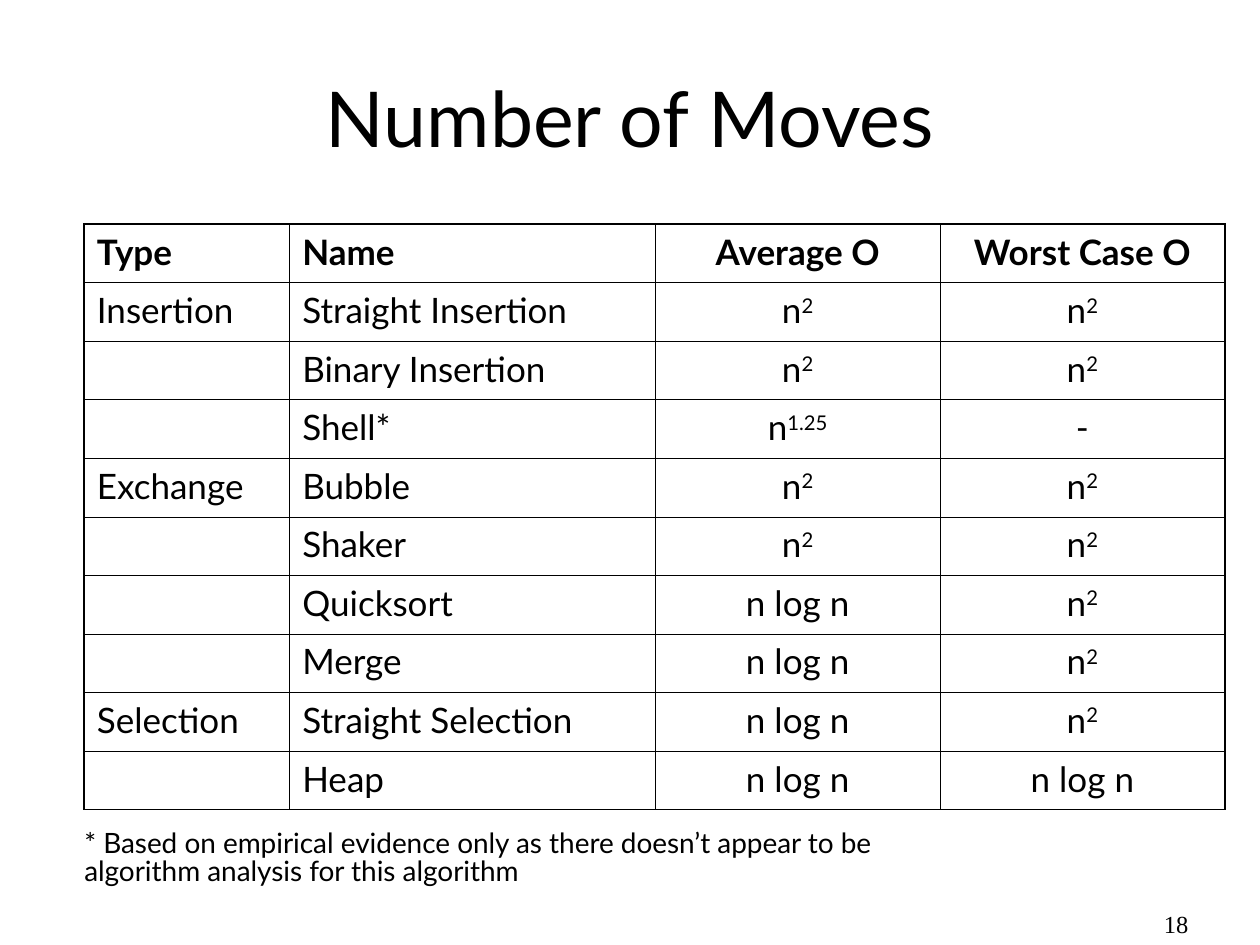
from dataclasses import dataclass

from lxml import etree
from pptx import Presentation
from pptx.dml.color import RGBColor
from pptx.enum.text import MSO_ANCHOR, PP_ALIGN
from pptx.oxml.ns import qn
from pptx.util import Cm, Pt

LEFT, CENTER = PP_ALIGN.LEFT, PP_ALIGN.CENTER
TOP, MIDDLE = MSO_ANCHOR.TOP, MSO_ANCHOR.MIDDLE


@dataclass(frozen=True)
class Theme:
    ink: str = "000000"
    body_font: str = "Lato"
    number_font: str = "Times New Roman"
    title_size: float = 44
    table_size: float = 20
    note_size: float = 16
    number_size: float = 14
    outer_line: float = 1.08
    inner_line: float = 0.45


THEME = Theme()
BLANK_LAYOUT = 6
SUPERSCRIPT = "30000"
COLUMN_WIDTHS = (4.14, 7.37, 5.74, 5.74)
COLUMN_ALIGNS = (LEFT, LEFT, CENTER, CENTER)
MOVES = (
    ("Type", "Name", "Average O", "Worst Case O"),
    ("Insertion", "Straight Insertion", "n^2", "n^2"),
    ("", "Binary Insertion", "n^2", "n^2"),
    ("", "Shell*", "n^1.25", "-"),
    ("Exchange", "Bubble", "n^2", "n^2"),
    ("", "Shaker", "n^2", "n^2"),
    ("", "Quicksort", "n log n", "n^2"),
    ("", "Merge", "n log n", "n^2"),
    ("Selection", "Straight Selection", "n log n", "n^2"),
    ("", "Heap", "n log n", "n log n"),
)


def apply_format(target, values):
    for name, value in values.items():
        setattr(target, name, value)


def add_span(para, text, size, font=THEME.body_font, bold=False):
    span = para.add_run()
    span.text = text
    apply_format(span.font, {"size": Pt(size), "name": font, "bold": bold})
    span.font.color.rgb = RGBColor.from_string(THEME.ink)
    return span


def add_text(page, box, text, size, font=THEME.body_font, align=LEFT,
             anchor=TOP, spacing=1.0, inset=(0.25, 0.13)):
    frame = page.shapes.add_textbox(*map(Cm, box)).text_frame
    side, edge = map(Cm, inset)
    apply_format(frame, {
        "word_wrap": True, "vertical_anchor": anchor,
        "margin_left": side, "margin_right": side,
        "margin_top": edge, "margin_bottom": edge,
    })
    para = frame.paragraphs[0]
    apply_format(para, {"alignment": align, "line_spacing": spacing})
    add_span(para, text, size, font)


def set_borders(cell, outer_sides):
    properties = cell._tc.get_or_add_tcPr()
    for index, (side, is_outer) in enumerate(outer_sides.items()):
        width = THEME.outer_line if is_outer else THEME.inner_line
        line = etree.Element(qn(f"a:ln{side}"), w=str(Pt(width)))
        fill = etree.SubElement(line, qn("a:solidFill"))
        etree.SubElement(fill, qn("a:srgbClr"), val=THEME.ink)
        properties.insert(index, line)


def fill_cell(cell, text, align, bold):
    cell.fill.background()
    cell.vertical_anchor = TOP
    para = cell.text_frame.paragraphs[0]
    para.alignment = align
    base, _, power = text.partition("^")
    if base:
        add_span(para, base, THEME.table_size, bold=bold)
    if power:
        span = add_span(para, power, THEME.table_size, bold=bold)
        span.font._element.set("baseline", SUPERSCRIPT)


def add_moves_table(page, box):
    row_count, column_count = len(MOVES), len(COLUMN_WIDTHS)
    frame = page.shapes.add_table(row_count, column_count, *map(Cm, box))
    table = frame.table
    apply_format(table, {"first_row": False, "horz_banding": False})
    for column, width in zip(table.columns, COLUMN_WIDTHS):
        column.width = Cm(width)
    for row_index, texts in enumerate(MOVES):
        table.rows[row_index].height = Cm(box[3] / row_count)
        for column_index, text in enumerate(texts):
            cell = table.cell(row_index, column_index)
            fill_cell(cell, text, COLUMN_ALIGNS[column_index], row_index == 0)
            set_borders(cell, {
                "L": column_index == 0,
                "R": column_index == column_count - 1,
                "T": row_index == 0,
                "B": row_index == row_count - 1,
            })


def add_moves_page(deck):
    page = deck.slides.add_slide(deck.slide_layouts[BLANK_LAYOUT])
    add_text(page, (1.27, 0.76, 22.86, 3.18), "Number of Moves",
             THEME.title_size, align=CENTER, anchor=MIDDLE)
    add_text(page, (21.9, 18.34, 3.5, 0.71), " 18", THEME.number_size,
             font=THEME.number_font, align=CENTER, spacing=0.75)
    add_moves_table(page, (1.7, 4.52, sum(COLUMN_WIDTHS), 11.8))
    add_text(page, (1.7, 16.74, 17.2, 1.14),
             "* Based on empirical evidence only as there doesn’t appear to be "
             "algorithm analysis for this algorithm",
             THEME.note_size, spacing=0.85, inset=(0, 0))


def main():
    deck = Presentation()
    apply_format(deck, {"slide_width": Cm(25.4), "slide_height": Cm(19.05)})
    add_moves_page(deck)
    deck.save("out.pptx")


if __name__ == "__main__":
    main()
